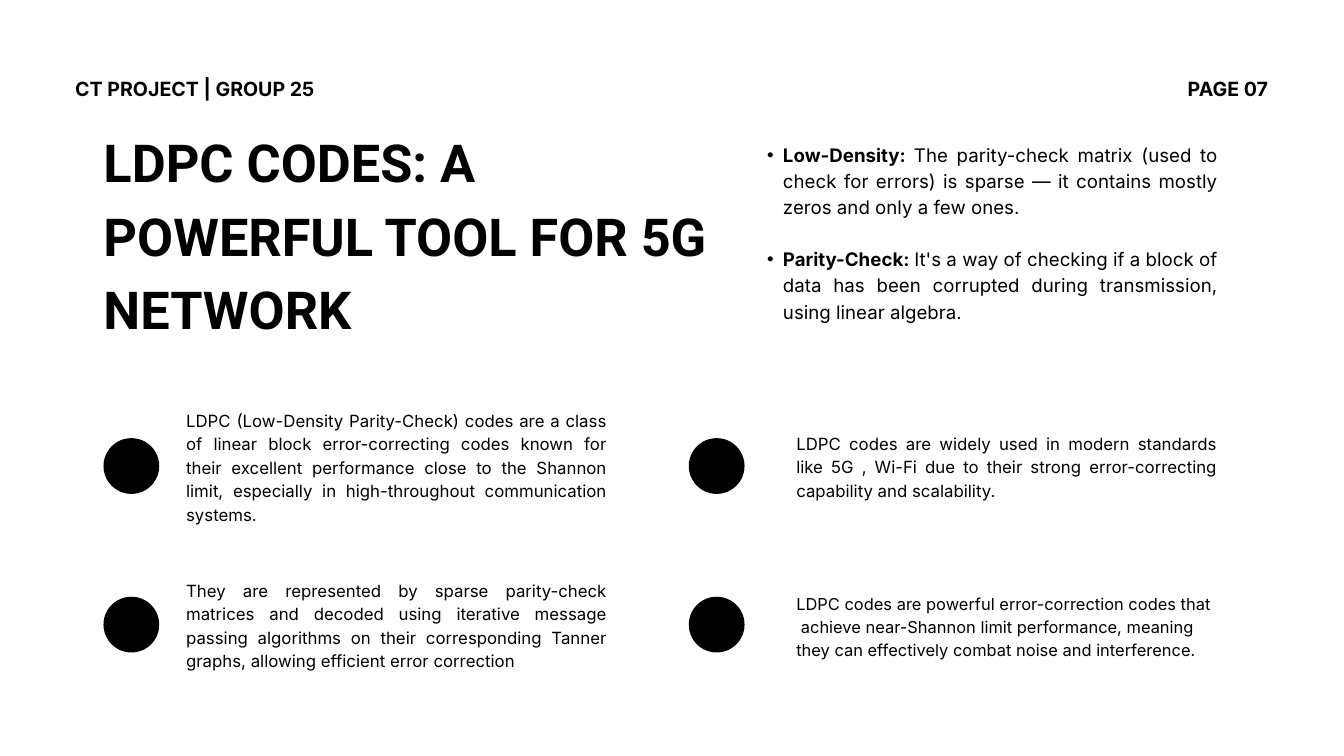
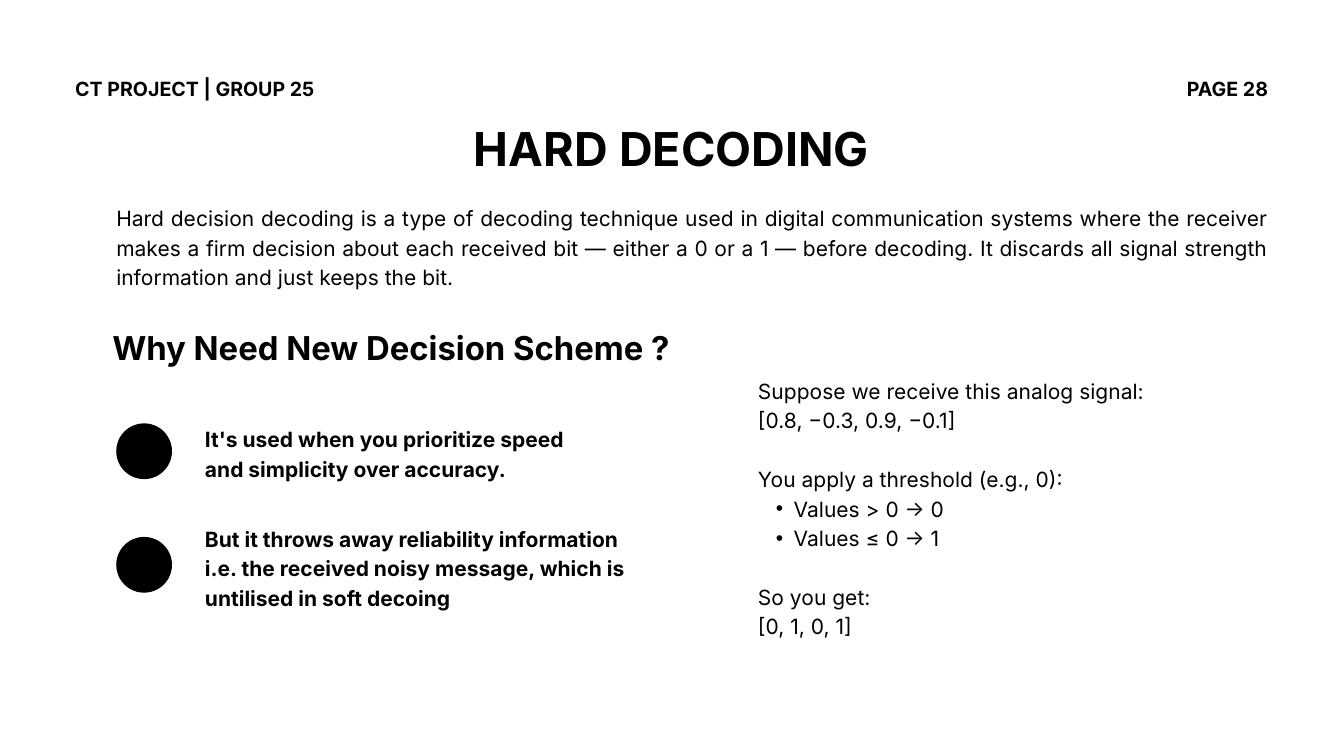
from dataclasses import dataclass
from itertools import product

from lxml import etree
from pptx import Presentation
from pptx import util as u
from pptx.dml.color import RGBColor
from pptx.enum import shapes, text
from pptx.oxml.ns import qn

INK = RGBColor(0x00, 0x00, 0x00)
PAPER = RGBColor(0xFF, 0xFF, 0xFF)
FACE = "Inter"
LEAD = 1.4  # line height as a share of the text size
HANG = 1.7  # bullet indent as a share of the text size

# Grid of 80 columns by 45 rows
CELL = u.Inches(0.25)
COLS, ROWS = 80, 45
DOT = 3.32

LEFT = text.PP_ALIGN.LEFT
MID = text.PP_ALIGN.CENTER
RIGHT = text.PP_ALIGN.RIGHT
FULL = text.PP_ALIGN.JUSTIFY


@dataclass(frozen=True)
class Para:
    body: str
    lead: str = ""        # bold words in front
    dotted: bool = False  # bulleted
    gap: bool = False     # one free line above


@dataclass(frozen=True)
class Note:
    col: float
    row: float
    wide: float
    high: float
    size: float
    paras: tuple[Para, ...]
    bold: bool = False
    align: text.PP_ALIGN = LEFT
    face: str = FACE


def cells(count: float) -> int:
    return round(count * CELL)


def add_bullet(para, size: float) -> None:
    props = para._p.get_or_add_pPr()
    hang = u.Pt(size * HANG)
    props.set("marL", str(hang))
    props.set("indent", str(-hang // 2))
    etree.SubElement(props, qn("a:buFont")).set("typeface", "Arial")
    etree.SubElement(props, qn("a:buChar")).set("char", "•")


def fill_para(para, item: Para, note: Note) -> None:
    para.text = item.lead or item.body
    if item.lead:
        para.add_run().text = item.body
    para.alignment = note.align
    para.line_spacing = u.Pt(note.size * LEAD)
    if item.gap:
        para.space_before = u.Pt(note.size * LEAD)
    if item.dotted:
        para.level = 1
        add_bullet(para, note.size)
    for spot, run in enumerate(para.runs):
        run.font.name = note.face
        run.font.size = u.Pt(note.size)
        run.font.bold = note.bold or (bool(item.lead) and spot == 0)
        run.font.color.rgb = INK


def add_note(slide, note: Note) -> None:
    box = slide.shapes.add_textbox(*map(cells, (note.col, note.row, note.wide, note.high)))
    frame = box.text_frame
    frame.word_wrap = True
    frame.auto_size = text.MSO_AUTO_SIZE.SHAPE_TO_FIT_TEXT
    frame.margin_left = frame.margin_right = frame.margin_top = frame.margin_bottom = 0
    frame.text = "\n".join(item.body for item in note.paras)
    for para, item in zip(frame.paragraphs, note.paras):
        fill_para(para, item, note)


def add_dot(slide, col: float, row: float) -> None:
    dot = slide.shapes.add_shape(shapes.MSO_SHAPE.OVAL, *map(cells, (col, row, DOT, DOT)))
    dot.shadow.inherit = False
    dot.fill.solid()
    dot.fill.fore_color.rgb = INK
    dot.line.fill.background()


def add_page(deck, page: str, dots, notes: list[Note]) -> None:
    slide = deck.slides.add_slide(deck.slide_layouts[6])
    slide.background.fill.solid()
    slide.background.fill.fore_color.rgb = PAPER
    # Shared header
    add_note(slide, Note(4.48, 4.32, 15.36, 1.56, 21, (Para("CT PROJECT | GROUP 25"),), True))
    add_note(slide, Note(69.4, 4.32, 6.08, 1.56, 21, (Para(f"PAGE {page}"),), True, RIGHT))
    for col, row in dots:
        add_dot(slide, col, row)
    for note in notes:
        add_note(slide, note)


# LDPC codes: title, definitions, four points
CODES = [
    Note(6.16, 7.16, 38.2, 12.8, 56,
         (Para("LDPC CODES: A POWERFUL TOOL FOR 5G NETWORK"),), True, face="Roboto"),
    Note(44.72, 8.32, 27.76, 10.72, 20, (
        Para("The parity-check matrix (used to check for errors) is sparse — it contains "
             "mostly zeros and only a few ones.", "Low-Density: ", True),
        Para("It's a way of checking if a block of data has been corrupted during "
             "transmission, using linear algebra.", "Parity-Check: ", True, True),
    ), align=FULL),
    Note(11.08, 24.24, 25.04, 6.84, 18, (
        Para("LDPC (Low-Density Parity-Check) codes are a class of linear block "
             "error-correcting codes known for their excellent performance close to the "
             "Shannon limit, especially in high-throughout communication systems."),
    ), align=FULL),
    Note(47.4, 25.6, 25.04, 4.08, 18, (
        Para("LDPC codes are widely used in modern standards like 5G , Wi-Fi due to their "
             "strong error-correcting capability and scalability."),
    ), align=FULL),
    Note(11.08, 34.36, 25.04, 5.48, 18, (
        Para("They are represented by sparse parity-check matrices and decoded using "
             "iterative message passing algorithms on their corresponding Tanner graphs, "
             "allowing efficient error correction"),
    ), align=FULL),
    Note(47.4, 35.16, 29.84, 3.96, 17.6, (
        Para("LDPC codes are powerful error-correction codes that"),
        Para(" achieve near-Shannon limit performance, meaning"),
        Para("they can effectively combat noise and interference."),
    ), align=FULL),
]

# Hard decoding: title, summary, reasons, worked signal
HARD = [
    Note(28.2, 6.56, 23.56, 3.68, 50, (Para("HARD DECODING"),), True, MID),
    Note(6.92, 12, 68.6, 5.2, 22.5, (
        Para("Hard decision decoding is a type of decoding technique used in digital "
             "communication systems where the receiver makes a firm decision about each "
             "received bit — either a 0 or a 1 — before decoding. It discards all signal "
             "strength information and just keeps the bit."),
    ), align=FULL),
    Note(0, 19.12, 47, 2.64, 35.2, (Para("Why Need New Decision Scheme ? "),), True, MID),
    Note(12.2, 25.16, 23.12, 3.44, 22.5, (
        Para("It's used when you prioritize speed and simplicity over accuracy."),
    ), True),
    Note(12.2, 31.08, 26.72, 5.2, 22.5, (
        Para("But it throws away reliability information i.e. the received noisy message, "
             "which is untilised in soft decoing"),
    ), True),
    Note(45.12, 22.28, 29.88, 15.72, 22.5, (
        Para("Suppose we receive this analog signal:"),
        Para("[0.8, −0.3, 0.9, −0.1]"),
        Para("You apply a threshold (e.g., 0):", gap=True),
        Para("Values > 0 → 0", dotted=True),
        Para("Values ≤ 0 → 1", dotted=True),
        Para("So you get:", gap=True),
        Para("[0, 1, 0, 1]"),
    )),
]


def main() -> None:
    deck = Presentation()
    deck.slide_width, deck.slide_height = COLS * CELL, ROWS * CELL
    add_page(deck, "07", product((6.16, 41), (26.08, 35.52)), CODES)
    add_page(deck, "28", product((6.92,), (25.2, 31.96)), HARD)
    deck.save("out.pptx")


if __name__ == "__main__":
    main()
